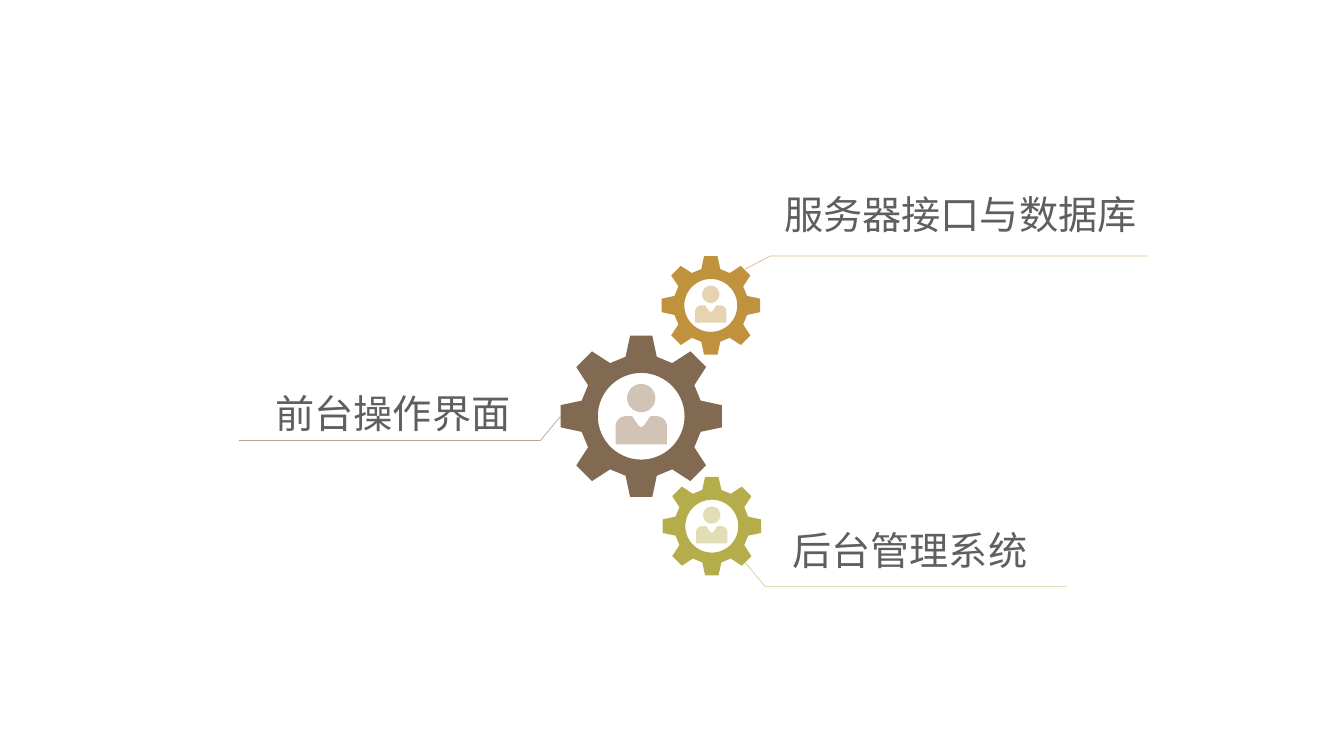
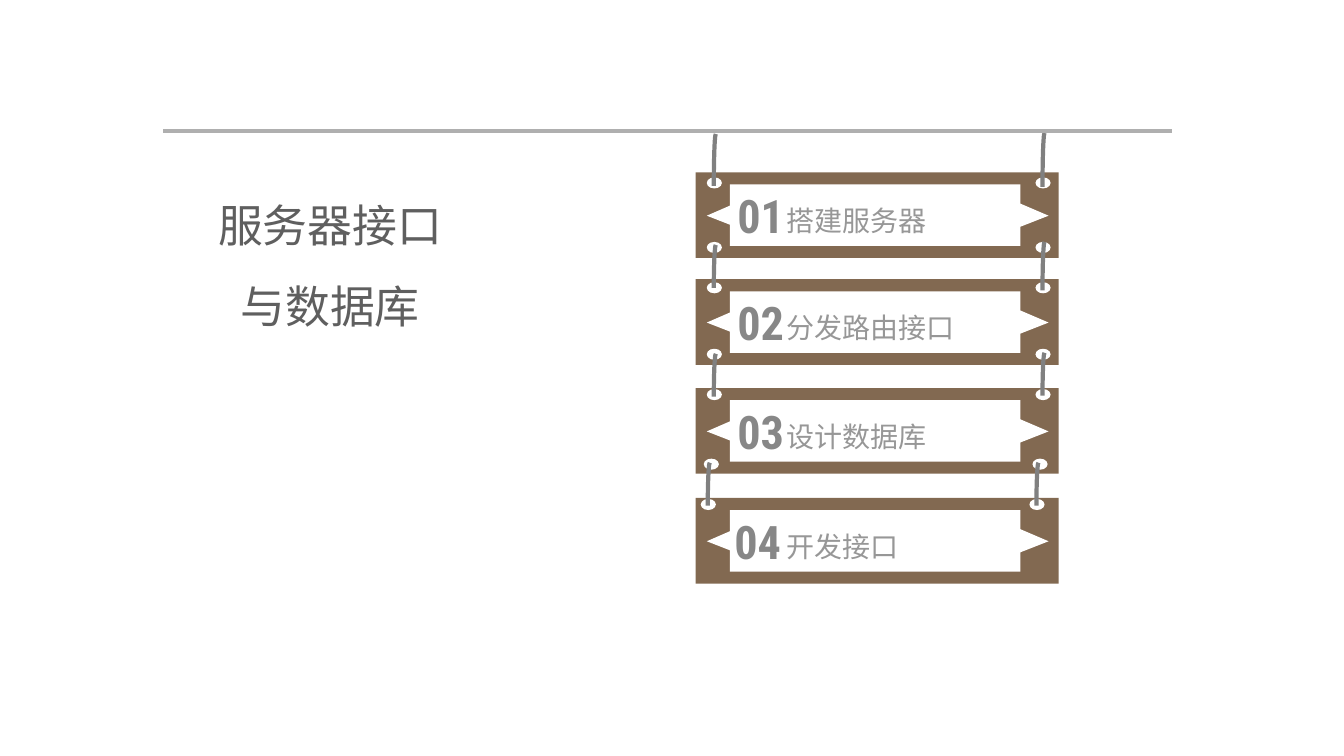
"""Build two slides: the parts of a system as gears, and one part as hanging boards."""
from math import cos, pi, sin

from lxml.etree import SubElement
from pptx import Presentation
from pptx.dml.color import RGBColor
from pptx.enum.shapes import MSO_CONNECTOR, MSO_SHAPE
from pptx.enum.text import MSO_ANCHOR, PP_ALIGN
from pptx.oxml.ns import qn
from pptx.util import Inches, Pt

SANS, SLIM = "Noto Sans CJK SC", "Roboto Condensed"
BROWN, WHITE, DARK = "826951", "FFFFFF", "5F5F5F"
CORD, RAIL, NUMBER, WORD = "808080", "AFAFAF", "878787", "979797"

# centre x, centre y, scale, gear colour, person colour
GEARS = [
    (7.06, 5.22, 0.61, "B5AD4B", "E1DEB7"),
    (7.05, 3.03, 0.61, "C0923E", "E6D3B2"),
    (6.36, 4.13, 1, BROWN, "D1C3B5"),
]
# text, box, alignment, leader points, leader colour
LABELS = [
    ("前台操作界面", (2.55, 3.57, 2.61, 0.81), PP_ALIGN.RIGHT,
     [(5.56, 4.13), (5.36, 4.37), (2.37, 4.37)], "BAA590"),
    ("服务器接口与数据库", (7.68, 1.6, 3.84, 0.81), PP_ALIGN.LEFT,
     [(7.39, 2.67), (7.64, 2.54), (11.38, 2.54)], "DABE8B"),
    ("后台管理系统", (7.76, 4.93, 2.61, 0.81), PP_ALIGN.LEFT,
     [(7.39, 5.58), (7.59, 5.82), (10.58, 5.82)], "D3CE93"),
]
TITLE = "服务器接口\n与数据库"
# number, text, top, number x, hole pairs (left x, y), cords (top, height)
BOARDS = [
    ("01", "搭建服务器", 1.71, 7.26, [(7.01, 1.76), (7.01, 2.4)], [(1.33, 1.03), (1.32, 1.07)]),
    ("02", "分发路由接口", 2.77, 7.26, [(7.01, 2.8), (7.01, 3.46)], [(2.43, 0.85), (2.4, 0.96)]),
    ("03", "设计数据库", 3.85, 7.26, [(7.01, 3.86), (6.98, 4.55)], [(3.51, 0.85), (3.5, 0.85)]),
    ("04", "开发接口", 4.94, 7.23, [(6.95, 4.95)], [(4.59, 0.85), (4.59, 0.85)]),
]
PLATE = [(7.24, 0.12), (10.12, 0.12), (10.12, 0.31), (10.4, 0.43), (10.12, 0.54),
         (10.12, 0.73), (7.24, 0.73), (7.24, 0.52), (7.01, 0.43), (7.24, 0.33)]
SPAN = 3.26


def color(code):
    return RGBColor.from_string(code)


def paint(shape, fill=None, line=None, width=0.5):
    shape.shadow.inherit = False
    if fill:
        shape.fill.solid()
        shape.fill.fore_color.rgb = color(fill)
    else:
        shape.fill.background()
    if line:
        shape.line.color.rgb = color(line)
        shape.line.width = Pt(width)
    else:
        shape.line.fill.background()


def write(shape, text, size, code, align, font=SANS, space=1.0, bold=False, pad=(0.1, 0.05, 0.1, 0.05)):
    frame = shape.text_frame
    frame.text = text
    frame.word_wrap = True
    frame.vertical_anchor = MSO_ANCHOR.MIDDLE
    frame.margin_left, frame.margin_top, frame.margin_right, frame.margin_bottom = map(Inches, pad)
    for par in frame.paragraphs:
        par.alignment, par.line_spacing = align, space
        for run in par.runs:
            run.font.size, run.font.bold, run.font.name = Pt(size), bold, font
            run.font.color.rgb = color(code)
            SubElement(run.font._element, qn("a:ea"), typeface=font)


def draw(shapes, loops, close=True):
    loops = [[(Inches(x), Inches(y)) for x, y in loop] for loop in loops]
    pen = shapes.build_freeform(*loops[0][0])
    for at, loop in enumerate(loops):
        if at:
            pen.move_to(*loop[0])
        pen.add_line_segments(loop[1:], close=close)
    return pen.convert_to_shape()


def preset(shapes, kind, box, **look):
    shape = shapes.add_shape(kind, *map(Inches, box))
    paint(shape, **look)
    return shape


def arc(x, y, radius, start, end, steps):
    turns = [(start + (end - start) * i / steps) * pi / 180 for i in range(steps + 1)]
    return [(x + radius * cos(t), y + radius * sin(t)) for t in turns]


def cog():
    tooth = [(-0.155, -0.59), (-0.11, -0.8), (0.11, -0.8), (0.155, -0.59)]
    turns = [i * pi / 4 for i in range(8)]
    rim = [(x * cos(t) - y * sin(t), x * sin(t) + y * cos(t)) for t in turns for x, y in tooth]
    return [rim, arc(0, 0, 0.43, 360, 0, 60)]


def person():
    neck = [(0.09, 0), (0.03, 0.09), (0, 0.11), (-0.03, 0.09), (-0.09, 0)]
    body = arc(-0.155, 0.1, 0.1, 180, 270, 8) + neck[::-1] + arc(0.155, 0.1, 0.1, 270, 360, 8)
    return [arc(0, -0.18, 0.14, 0, 360, 40), body + [(0.255, 0.28), (-0.255, 0.28)]]


def gears(slide):
    for cx, cy, scale, *codes in GEARS:
        for loops, code in zip((cog(), person()), codes):
            spots = [[(cx + scale * x, cy + scale * y) for x, y in loop] for loop in loops]
            paint(draw(slide.shapes, spots), code)
    for text, box, align, points, code in LABELS:
        paint(draw(slide.shapes, [points], close=False), line=code)
        label = slide.shapes.add_textbox(*map(Inches, box))
        write(label, text, 28, DARK, align, space=1.5)


def board(shapes, number, text, top, left, holes, cords):
    preset(shapes, MSO_SHAPE.RECTANGLE, (6.9, top, 3.6, 0.85), fill=BROWN)
    plate = draw(shapes, [[(x, top + y) for x, y in PLATE]])
    paint(plate, WHITE)
    write(plate, text, 20, WORD, PP_ALIGN.JUSTIFY, space=1.3, pad=(0.79, 0.05, 0.39, 0.05))
    for x, y in holes:
        for side in (0, SPAN):
            preset(shapes, MSO_SHAPE.OVAL, (x + side, y, 0.15, 0.11), fill=WHITE)
    for side, (start, height) in zip((0, SPAN), cords):
        box = (holes[0][0] + 0.07 + side, start, 0.04, height)
        cord = preset(shapes, MSO_SHAPE.ARC, box, line=CORD, width=3)
        cord.adjustments[0], cord.adjustments[1] = 108, 162
    label = shapes.add_textbox(*map(Inches, (left, top + 0.15, 0.57, 0.55)))
    write(label, number, 33, NUMBER, PP_ALIGN.CENTER, SLIM, bold=True, pad=(0, 0, 0, 0))


def boards(slide):
    title = slide.shapes.title
    title.left, title.top, title.width, title.height = map(Inches, (1.98, 1.64, 2.59, 1.71))
    write(title, TITLE, 32, DARK, PP_ALIGN.CENTER, space=1.5)
    for row in BOARDS:
        board(slide.shapes.add_group_shape().shapes, *row)
    ends = map(Inches, (1.62, 1.3, 11.62, 1.3))
    rail = slide.shapes.add_connector(MSO_CONNECTOR.STRAIGHT, *ends)
    rail.line.color.rgb = color(RAIL)
    rail.line.width = Pt(3)
    SubElement(rail._element.spPr, qn("a:effectLst"))


deck = Presentation()
deck.slide_width, deck.slide_height = Inches(13.33), Inches(7.5)
gears(deck.slides.add_slide(deck.slide_layouts[6]))
boards(deck.slides.add_slide(deck.slide_layouts[5]))
deck.save("out.pptx")
